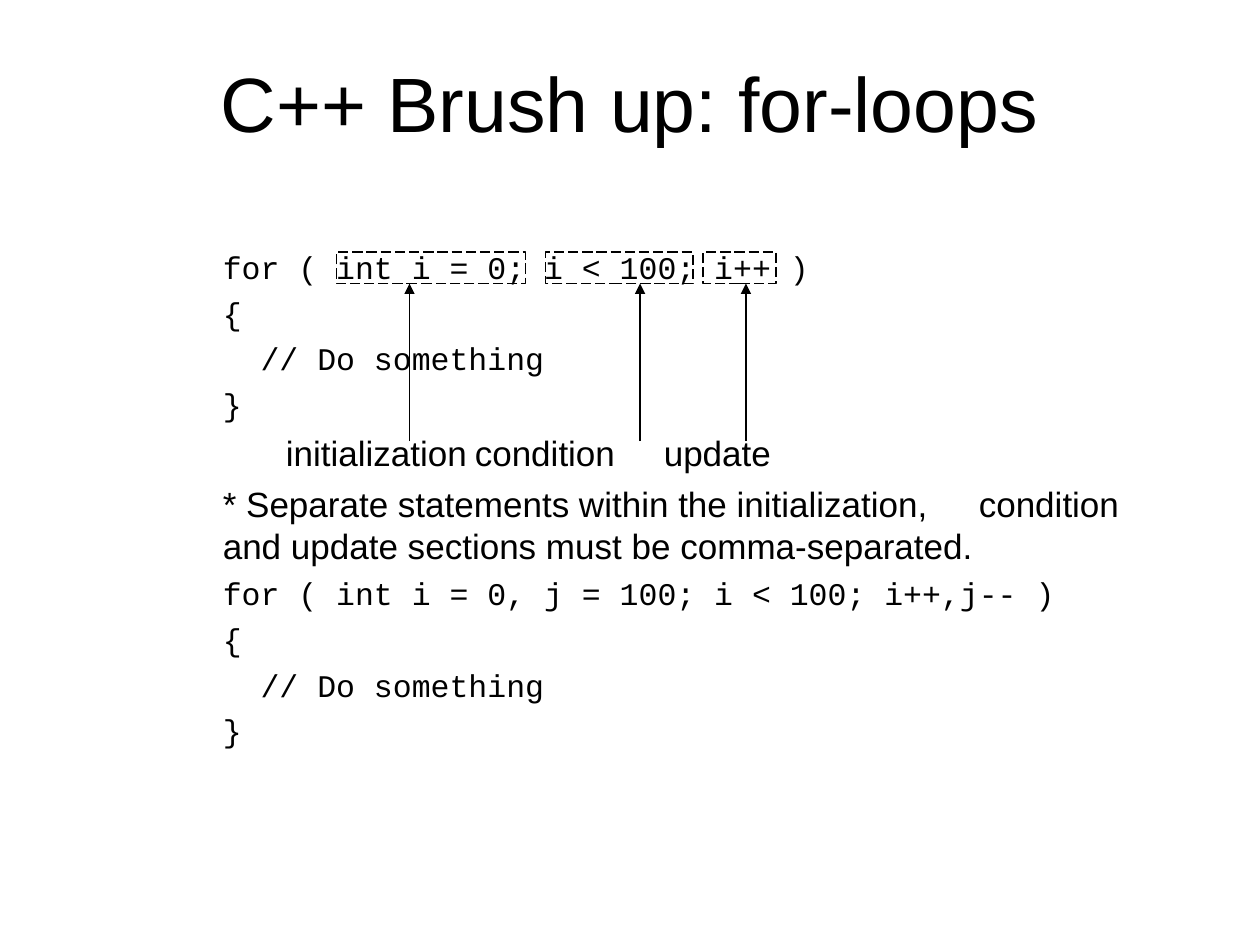
"""Build the slide on C++ for-loops with its annotated loop header."""
from dataclasses import dataclass

from lxml.etree import SubElement
from pptx import Presentation
from pptx.dml.color import RGBColor
from pptx.enum.dml import MSO_LINE
from pptx.enum.shapes import MSO_CONNECTOR, MSO_SHAPE
from pptx.enum.text import MSO_ANCHOR, PP_ALIGN
from pptx.oxml.ns import qn
from pptx.slide import Slide
from pptx.text.text import TextFrame, _Paragraph
from pptx.util import Inches, Pt

BLACK = RGBColor(0x00, 0x00, 0x00)
SANS = "Arial"
MONO = "Courier New"
BOX_TOP, BOX_HEIGHT, ARROW_START = 2, 0.25, 3.5


@dataclass(frozen=True)
class Line:
    text: str
    font: str = MONO
    size: int = 18
    indent: float = 0
    tabs: tuple[float, ...] = ()


@dataclass(frozen=True)
class Part:
    left: float
    width: float
    arrow_x: float


def loop(header: str) -> list[Line]:
    return [Line(header), Line("{"), Line("// Do something", indent=0.3), Line("}")]


LINES = [
    *loop("for ( int i = 0; i < 100; i++ )"),
    Line("\tinitialization\tcondition\tupdate", SANS, 20, tabs=(0.61, 2.67, 3.94)),
    Line(
        "* Separate statements within the initialization,\tcondition "
        "and update sections must be comma-separated.",
        SANS, 20, tabs=(5.82,),
    ),
    *loop("for ( int i = 0, j = 100; i < 100; i++,j-- )"),
]
PARTS = [Part(2.67, 1.5, 3.25), Part(4.33, 1.17, 5.08), Part(5.58, 0.58, 5.92)]


def add_run(p: _Paragraph, text: str, font: str, size: int) -> None:
    r = p.add_run()
    r.text = text
    r.font.name = font
    r.font.size = Pt(size)
    r.font.color.rgb = BLACK


def add_line(tf: TextFrame, line: Line, first: bool) -> None:
    p = tf.paragraphs[0] if first else tf.add_paragraph()
    p.alignment = PP_ALIGN.LEFT
    p.space_before = Pt(line.size / 4)
    pPr = p._p.get_or_add_pPr()
    pPr.set("marL", str(Inches(line.indent)))
    pPr.set("indent", "0")
    if line.tabs:
        tab_list = SubElement(pPr, qn("a:tabLst"))
        for pos in line.tabs:
            SubElement(tab_list, qn("a:tab"), pos=str(Inches(pos)), algn="l")
    add_run(p, line.text, line.font, line.size)


def add_title(s: Slide, text: str) -> None:
    sp = s.shapes.title
    sp.left, sp.top, sp.width, sp.height = map(Inches, (0.75, 0, 8.5, 1.61))
    tf = sp.text_frame
    tf.vertical_anchor = MSO_ANCHOR.MIDDLE
    p = tf.paragraphs[0]
    p.alignment = PP_ALIGN.CENTER
    add_run(p, text, SANS, 44)


def add_body(s: Slide, lines: list[Line]) -> None:
    sp = s.shapes.add_textbox(Inches(1.67), Inches(1.92), Inches(7.33), Inches(4.83))
    tf = sp.text_frame
    tf.word_wrap = True
    for i, line in enumerate(lines):
        add_line(tf, line, i == 0)


def add_part(s: Slide, part: Part) -> None:
    box = s.shapes.add_shape(
        MSO_SHAPE.RECTANGLE, Inches(part.left), Inches(BOX_TOP),
        Inches(part.width), Inches(BOX_HEIGHT),
    )
    box.shadow.inherit = False
    box.fill.background()
    box.line.dash_style = MSO_LINE.LONG_DASH
    x = Inches(part.arrow_x)
    arrow = s.shapes.add_connector(
        MSO_CONNECTOR.STRAIGHT, x, Inches(ARROW_START), x, Inches(BOX_TOP + BOX_HEIGHT)
    )
    for sp in (box, arrow):
        sp.line.color.rgb = BLACK
        sp.line.width = Pt(0.75)
    SubElement(arrow.line._get_or_add_ln(), qn("a:tailEnd"), type="triangle")
    SubElement(arrow._element.spPr, qn("a:effectLst"))


def main() -> None:
    prs = Presentation()
    prs.slide_width, prs.slide_height = Inches(10), Inches(7.5)
    s = prs.slides.add_slide(prs.slide_layouts.get_by_name("Title Only"))
    add_title(s, "C++ Brush up: for-loops")
    add_body(s, LINES)
    for part in PARTS:
        add_part(s, part)
    prs.save("out.pptx")


if __name__ == "__main__":
    main()
